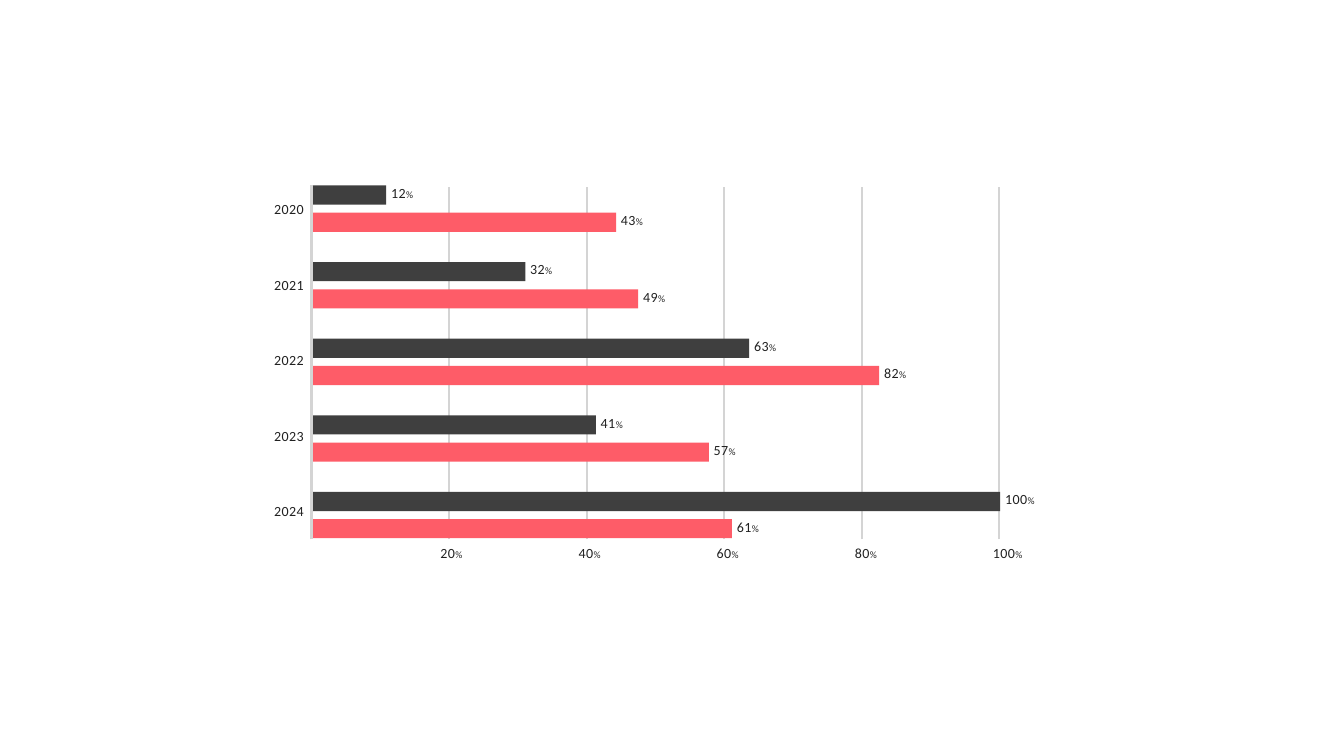
from lxml.etree import SubElement
from pptx import Presentation
from pptx.dml.color import RGBColor as Rgb
from pptx.enum.shapes import MSO_CONNECTOR as Connector, MSO_SHAPE as Shape
from pptx.enum.text import MSO_AUTO_SIZE as AutoSize
from pptx.oxml.ns import qn
from pptx.util import Inches, Pt

COLORS = {"ink": "212121", "grid": "D4D4D4", "dark": "3F3F3F", "pink": "FE5C68"}

RESULTS = [
    ("2020", (12, 0.74), (43, 3.02)),
    ("2021", (32, 2.12), (49, 3.24)),
    ("2022", (63, 4.34), (82, 5.63)),
    ("2023", (41, 2.82), (57, 3.94)),
    ("2024", (100, 6.83), (61, 4.17)),
]

AXIS_X, AXIS_TOP, AXIS_BOTTOM = 3.09, 1.84, 5.35
GRID_TOP = 1.86
GRID_STEP = 6.82 / 5
YEAR_STEP, SERIES_STEP = 0.76, 0.27
BAR_HEIGHT = 0.19


class BarSlide:
    font = "Calibri"
    text_size = 10
    percent_size = 7
    letter_spacing = "30"

    def __init__(self, slide):
        self.shapes = slide.shapes

    def color(self, name):
        return Rgb.from_string(COLORS[name])

    def rule(self, x, top, bottom, weight):
        line = self.shapes.add_connector(
            Connector.STRAIGHT, Inches(x), Inches(bottom), Inches(x), Inches(top))
        line.line.color.rgb = self.color("grid")
        line.line.width = Pt(weight)
        SubElement(line._element.spPr, qn("a:effectLst"))

    def bar(self, top, length, color):
        bar = self.shapes.add_shape(
            Shape.RECTANGLE, Inches(AXIS_X), Inches(top), Inches(length), Inches(BAR_HEIGHT))
        bar.shadow.inherit = False
        bar.fill.solid()
        bar.fill.fore_color.rgb = self.color(color)
        bar.line.fill.background()

    def label(self, x, y, text, unit=""):
        box = self.shapes.add_textbox(Inches(x), Inches(y), Inches(0.69), Inches(0.27))
        frame = box.text_frame
        frame.word_wrap = True
        frame.auto_size = AutoSize.SHAPE_TO_FIT_TEXT
        paragraph = frame.paragraphs[0]
        paragraph.text = text
        if unit:
            paragraph.add_run().text = unit
        for run, size in zip(paragraph.runs, (self.text_size, self.percent_size)):
            run.font.name = self.font
            run.font.size = Pt(size)
            run.font.color.rgb = self.color("ink")
            run.font._element.set("spc", self.letter_spacing)


def main():
    deck = Presentation()
    deck.slide_width, deck.slide_height = Inches(13.33), Inches(7.5)
    chart = BarSlide(deck.slides.add_slide(deck.slide_layouts[6]))

    for tick in range(1, 6):
        chart.rule(AXIS_X + tick * GRID_STEP, GRID_TOP, AXIS_BOTTOM, 1.5)
        chart.label(2.9 + tick * 1.37, AXIS_BOTTOM, str(tick * 20), "%")

    for row, (year, *results) in enumerate(RESULTS):
        chart.label(2.62, 1.94 + row * 0.75, year)
        for series, (color, (percent, length)) in enumerate(zip(("dark", "pink"), results)):
            top = AXIS_TOP + row * YEAR_STEP + series * SERIES_STEP
            chart.bar(top, length, color)
            chart.label(AXIS_X + length - 0.05, top - 0.06, str(percent), "%")

    chart.rule(AXIS_X, AXIS_TOP, AXIS_BOTTOM, 2)
    deck.save("out.pptx")


if __name__ == "__main__":
    main()
